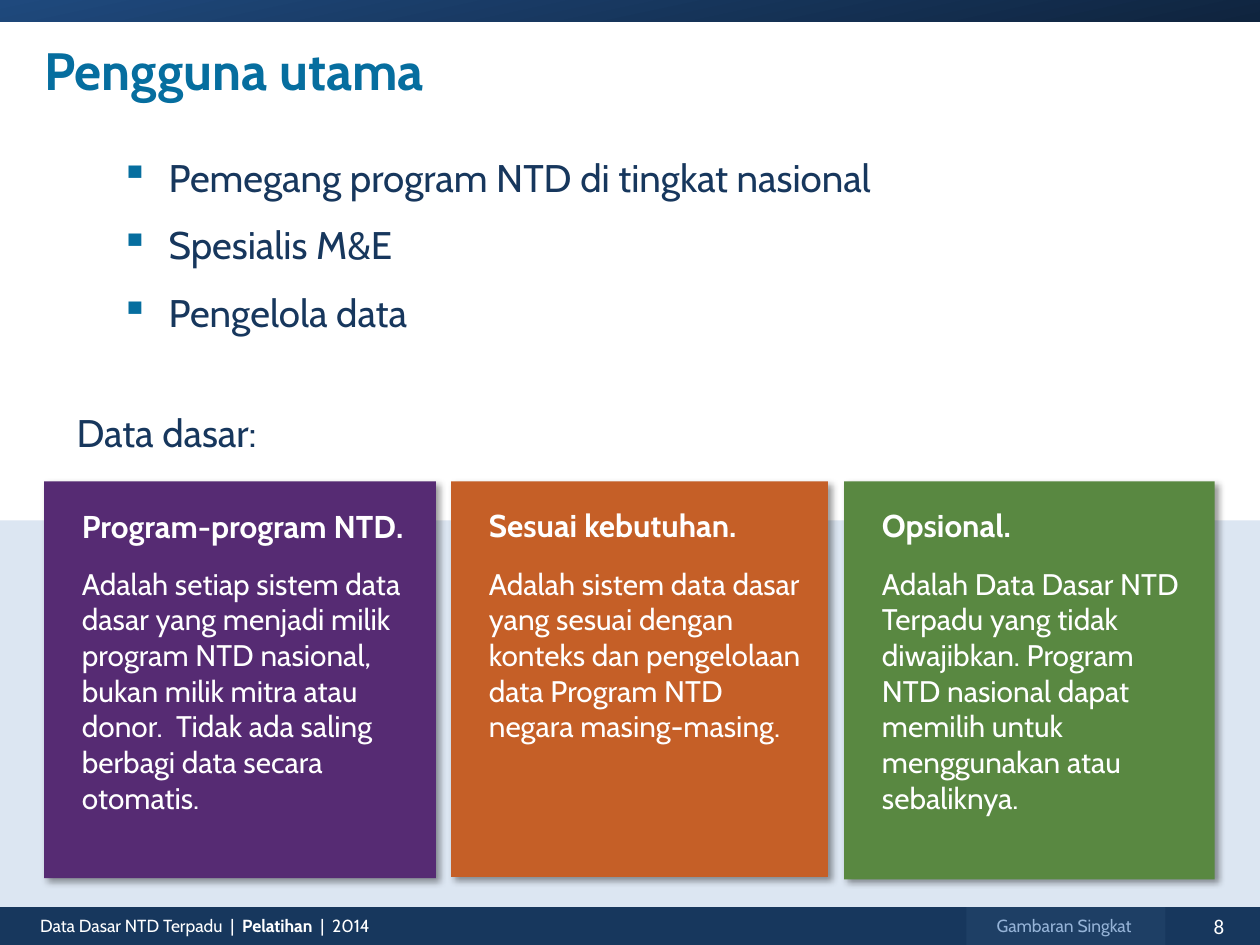
from lxml.etree import SubElement
from pptx import Presentation
from pptx.dml.color import RGBColor
from pptx.enum.shapes import MSO_SHAPE
from pptx.enum.text import MSO_ANCHOR, MSO_AUTO_SIZE, PP_ALIGN
from pptx.oxml import parse_xml
from pptx.oxml.ns import nsdecls, qn
from pptx.util import Inches, Pt

NAVY, BLUE, WHITE = "17375D", "066E9F", "FFFFFF"


def add_rectangle(left, top, width, height, color):
    shape = slide.shapes.add_shape(
        MSO_SHAPE.RECTANGLE, Inches(left), Inches(top), Inches(width), Inches(height))
    shape.shadow.inherit = False
    shape.line.fill.background()
    shape.fill.solid()
    shape.fill.fore_color.rgb = RGBColor.from_string(color)
    return shape


def add_run(paragraph, text, size, color, bold=False, font="Cabin"):
    run = paragraph.add_run()
    run.text = text
    run.font.name = font
    run.font.size = Pt(size)
    run.font.bold = bold
    run.font.color.rgb = RGBColor.from_string(color)


presentation = Presentation()
presentation.slide_width = Inches(10)
presentation.slide_height = Inches(7.5)
slide = presentation.slides.add_slide(presentation.slide_layouts[5])

# Bands behind the content
top_band = add_rectangle(0, 0, 10, 0.17, NAVY)
top_band.fill.gradient()
top_band.fill.gradient_angle = 282
for stop, color in zip(top_band.fill.gradient_stops, ("1F497D", "0F243E")):
    stop.color.rgb = RGBColor.from_string(color)
for stop, position in zip(top_band.fill.gradient_stops, (0, 1)):
    stop.position = position
add_rectangle(0, 4.13, 10, 3.07, "DCE6F2")
add_rectangle(0, 7.2, 10, 0.3, NAVY)
add_rectangle(7.67, 7.2, 1.58, 0.3, "1E3F65")

# Title
title = slide.shapes.title
title.left, title.top = Inches(0.15), Inches(0.23)
title.width, title.height = Inches(3.8), Inches(0.64)
title_frame = title.text_frame
title_frame.auto_size = MSO_AUTO_SIZE.NONE
title_frame.vertical_anchor = MSO_ANCHOR.MIDDLE
title_frame.margin_left = title_frame.margin_right = Inches(0.2)
title_frame.paragraphs[0].alignment = PP_ALIGN.LEFT
add_run(title_frame.paragraphs[0], "Pengguna utama", 30, BLUE, bold=True)

# Main users
users_box = slide.shapes.add_textbox(Inches(0.67), Inches(1.17), Inches(8.5), Inches(1.9))
users_frame = users_box.text_frame
users_frame.word_wrap = True
users = ["Pemegang program NTD di tingkat nasional", "Spesialis M&E", "Pengelola data"]
for index, user in enumerate(users):
    paragraph = users_frame.add_paragraph() if index else users_frame.paragraphs[0]
    paragraph.space_before = Pt(4.4)
    paragraph.space_after = Pt(8)
    add_run(paragraph, user, 22, NAVY)
    properties = paragraph._p.get_or_add_pPr()
    properties.set("marL", str(Inches(0.57)))
    properties.set("indent", str(Inches(-0.38)))
    bullet_color = SubElement(properties, qn("a:buClr"))
    SubElement(bullet_color, qn("a:srgbClr"), val=BLUE)
    SubElement(properties, qn("a:buChar"), char="▪")

# Single-line texts: position, alignment, anchor, runs
labels = [
    (0.51, 3.2, 1.74, 0.47, PP_ALIGN.LEFT, MSO_ANCHOR.TOP,
     [("Data dasar:", 22, NAVY)]),
    (0.22, 7.21, 4.53, 0.27, PP_ALIGN.LEFT, MSO_ANCHOR.TOP,
     [("Data Dasar NTD Terpadu  |  ", 10, WHITE),
      ("Pelatihan  ", 10, WHITE, True),
      ("|  2014", 10, WHITE)]),
    (7.67, 7.21, 1.55, 0.27, PP_ALIGN.CENTER, MSO_ANCHOR.TOP,
     [("Gambaran Singkat", 10, "95B3D7")]),
    (9.35, 7.2, 0.65, 0.3, PP_ALIGN.CENTER, MSO_ANCHOR.MIDDLE,
     [("8", 12, WHITE, False, "Calibri")]),
]
for left, top, width, height, alignment, anchor, runs in labels:
    label = slide.shapes.add_textbox(Inches(left), Inches(top), Inches(width), Inches(height))
    label.text_frame.word_wrap = True
    label.text_frame.vertical_anchor = anchor
    paragraph = label.text_frame.paragraphs[0]
    paragraph.alignment = alignment
    for run in runs:
        add_run(paragraph, *run)

# Database cards
cards = [
    (0.35, 3.11, 3.15, "562B73", "Program-program NTD.",
     "Adalah setiap sistem data dasar yang menjadi milik  program NTD nasional, "
     "bukan milik mitra atau donor.  Tidak ada saling berbagi data secara otomatis."),
    (3.58, 2.99, 3.14, "C55F27", "Sesuai kebutuhan.",
     "Adalah sistem data dasar yang sesuai dengan konteks dan pengelolaan data "
     "Program NTD negara masing-masing."),
    (6.7, 2.94, 3.16, "598841", "Opsional.",
     "Adalah Data Dasar NTD Terpadu yang tidak diwajibkan. Program NTD nasional "
     "dapat memilih untuk menggunakan atau sebaliknya."),
]
for left, width, height, color, heading, description in cards:
    card = add_rectangle(left, 3.82, width, height, color)
    effects = card._element.spPr.find(qn("a:effectLst"))
    effects.append(parse_xml(
        f'<a:outerShdw {nsdecls("a")} blurRad="{Pt(4)}" dist="{Pt(3)}" dir="2700000" '
        'algn="tl" rotWithShape="0"><a:srgbClr val="000000"><a:alpha val="40000"/>'
        '</a:srgbClr></a:outerShdw>'))
    frame = card.text_frame
    frame.word_wrap = True
    frame.vertical_anchor = MSO_ANCHOR.TOP
    frame.margin_left = Inches(0.3)
    frame.margin_top = frame.margin_right = Inches(0.2)
    frame.margin_bottom = 0
    heading_paragraph = frame.paragraphs[0]
    heading_paragraph.space_after = Pt(12)
    add_run(heading_paragraph, heading, 18, WHITE, bold=True)
    description_paragraph = frame.add_paragraph()
    add_run(description_paragraph, description, 17, WHITE)
    for paragraph in frame.paragraphs:
        paragraph.alignment = PP_ALIGN.LEFT

presentation.save("out.pptx")
